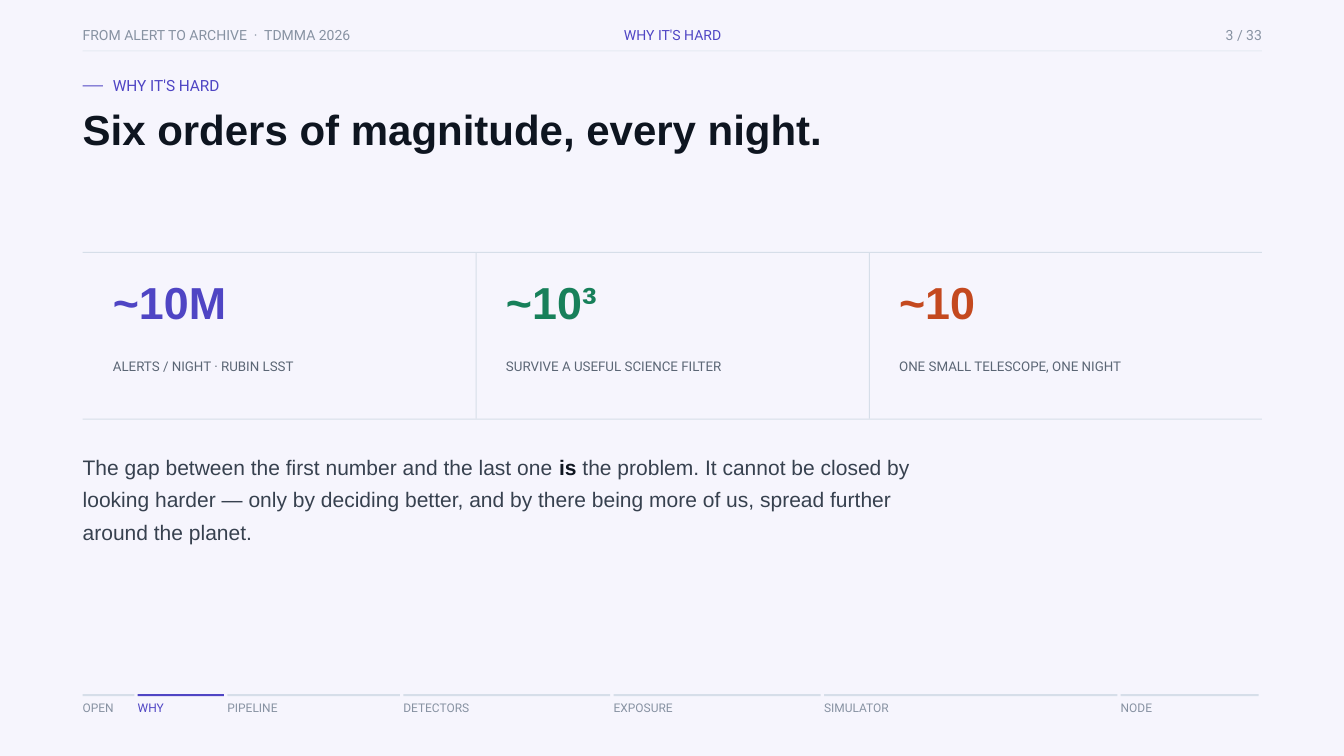
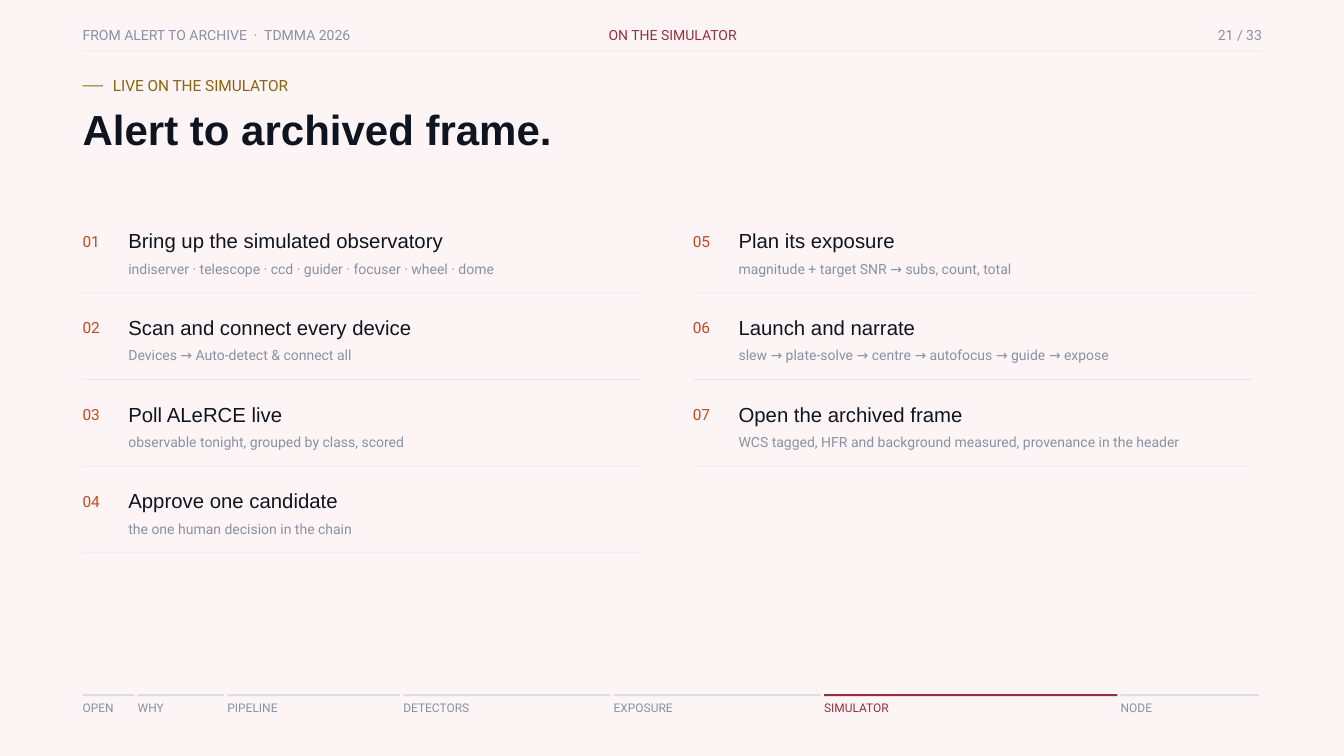
from dataclasses import dataclass

from pptx import Presentation
from pptx.dml.color import RGBColor
from pptx.enum.shapes import MSO_SHAPE
from pptx.enum.text import MSO_AUTO_SIZE, PP_ALIGN
from pptx.presentation import Presentation as Deck
from pptx.slide import Slide
from pptx.text.text import _Paragraph as Paragraph, _Run as Run
from pptx.util import Inches, Pt


@dataclass(frozen=True)
class TextStyle:
    size: float
    line_spacing: float
    font: str = "Roboto"
    bold: bool = False


@dataclass(frozen=True)
class Theme:
    # Colours
    ink: str = "0E1520"
    body_ink: str = "37414F"
    label_ink: str = "5B6675"
    muted: str = "8792A2"
    rule: str = "D6DEE9"
    light_rule: str = "E6EBF3"
    indigo: str = "4F45C4"
    green: str = "17805A"
    orange: str = "C4491F"
    crimson: str = "94303F"
    ochre: str = "8A650F"
    indigo_tint: str = "F6F5FD"
    crimson_tint: str = "FDF4F5"
    # Type
    header: TextStyle = TextStyle(15, 23.1)
    progress: TextStyle = TextStyle(12.8, 19.6)
    eyebrow: TextStyle = TextStyle(16.5, 25.4)
    title: TextStyle = TextStyle(45, 55.1, "Arial", True)
    figure: TextStyle = TextStyle(48, 57.6, "Arial", True)
    figure_label: TextStyle = TextStyle(14.3, 21.9)
    body: TextStyle = TextStyle(22.5, 34.6, "Arial")
    step: TextStyle = TextStyle(21.8, 33.4, "Arial")


@dataclass(frozen=True)
class Box:
    left: float
    top: float
    width: float
    height: float


@dataclass(frozen=True)
class Page:
    number: int
    section: str
    progress_label: str
    eyebrow: str
    title: str
    background: str
    accent: str
    eyebrow_color: str


@dataclass(frozen=True)
class Chapter:
    label: str
    weight: int


@dataclass(frozen=True)
class Statistic:
    figure: str
    label: str
    color: str


@dataclass(frozen=True)
class Step:
    name: str
    detail: str


THEME = Theme()
PAGE_COUNT = 33
MARGIN = 1.23
CONTENT_WIDTH = 17.55
HAIRLINE = 0.015
INDENT = 0.45

CHAPTERS = [
    Chapter("OPEN", 3),
    Chapter("WHY", 5),
    Chapter("PIPELINE", 10),
    Chapter("DETECTORS", 12),
    Chapter("EXPOSURE", 12),
    Chapter("SIMULATOR", 17),
    Chapter("NODE", 8),
]

STATISTICS = [
    Statistic("~10M", "ALERTS / NIGHT · RUBIN LSST", THEME.indigo),
    Statistic("~10³", "SURVIVE A USEFUL SCIENCE FILTER", THEME.green),
    Statistic("~10", "ONE SMALL TELESCOPE, ONE NIGHT", THEME.orange),
]

STEPS = [
    Step("Bring up the simulated observatory",
         "indiserver · telescope · ccd · guider · focuser · wheel · dome"),
    Step("Scan and connect every device", "Devices → Auto-detect & connect all"),
    Step("Poll ALeRCE live", "observable tonight, grouped by class, scored"),
    Step("Approve one candidate", "the one human decision in the chain"),
    Step("Plan its exposure", "magnitude + target SNR → subs, count, total"),
    Step("Launch and narrate",
         "slew → plate-solve → centre → autofocus → guide → expose"),
    Step("Open the archived frame",
         "WCS tagged, HFR and background measured, provenance in the header"),
]

MAGNITUDE_PAGE = Page(
    3, "WHY IT'S HARD", "WHY", "WHY IT'S HARD",
    "Six orders of magnitude, every night.",
    THEME.indigo_tint, THEME.indigo, THEME.indigo)
SIMULATOR_PAGE = Page(
    21, "ON THE SIMULATOR", "SIMULATOR", "LIVE ON THE SIMULATOR",
    "Alert to archived frame.",
    THEME.crimson_tint, THEME.crimson, THEME.ochre)


# Drawing helpers
def format_run(run: Run, style: TextStyle, color: str, bold: bool) -> None:
    run.font.name = style.font
    run.font.size = Pt(style.size)
    run.font.bold = bold
    run.font.color.rgb = RGBColor.from_string(color)


def draw_text(slide: Slide, box: Box, text: str, style: TextStyle, color: str,
              alignment: PP_ALIGN = PP_ALIGN.LEFT) -> Paragraph:
    shape = slide.shapes.add_textbox(
        Inches(box.left), Inches(box.top), Inches(box.width), Inches(box.height))
    frame = shape.text_frame
    frame.margin_left = frame.margin_right = 0
    frame.margin_top = frame.margin_bottom = 0
    frame.word_wrap = True
    frame.auto_size = MSO_AUTO_SIZE.SHAPE_TO_FIT_TEXT
    frame.text = text
    paragraph = frame.paragraphs[0]
    paragraph.alignment = alignment
    paragraph.line_spacing = Pt(style.line_spacing)
    for run in paragraph.runs:
        format_run(run, style, color, style.bold)
    return paragraph


def draw_bar(slide: Slide, box: Box, color: str) -> None:
    shape = slide.shapes.add_shape(
        MSO_SHAPE.RECTANGLE,
        Inches(box.left), Inches(box.top), Inches(box.width), Inches(box.height))
    shape.shadow.inherit = False
    shape.fill.solid()
    shape.fill.fore_color.rgb = RGBColor.from_string(color)
    shape.line.fill.background()


# Parts shared by every slide
def draw_header(slide: Slide, page: Page) -> None:
    draw_text(slide, Box(MARGIN, 0.32, 6.3, 0.43),
              "FROM ALERT TO ARCHIVE  ·  TDMMA 2026", THEME.header, THEME.muted)
    draw_text(slide, Box(7.54, 0.32, 4.94, 0.43), page.section,
              THEME.header, page.accent, PP_ALIGN.CENTER)
    draw_text(slide, Box(15.78, 0.32, 3, 0.43), f"{page.number} / {PAGE_COUNT}",
              THEME.header, THEME.muted, PP_ALIGN.RIGHT)
    draw_bar(slide, Box(MARGIN, 0.75, CONTENT_WIDTH, HAIRLINE), THEME.light_rule)


def draw_progress(slide: Slide, page: Page) -> None:
    gap = 0.05
    total_weight = sum(chapter.weight for chapter in CHAPTERS)
    unit = (17.5 - gap * (len(CHAPTERS) - 1)) / total_weight
    left = MARGIN
    for chapter in CHAPTERS:
        width = chapter.weight * unit
        current = chapter.label == page.progress_label
        draw_bar(slide, Box(left, 10.33, width, 0.03),
                 page.accent if current else THEME.rule)
        draw_text(slide, Box(left, 10.36, width, 0.36), chapter.label,
                  THEME.progress, page.accent if current else THEME.muted)
        left += width + gap


def draw_title(slide: Slide, page: Page) -> None:
    draw_bar(slide, Box(MARGIN, 1.27, 0.3, HAIRLINE), page.eyebrow_color)
    draw_text(slide, Box(MARGIN + INDENT, 1.06, 9, 0.46), page.eyebrow,
              THEME.eyebrow, page.eyebrow_color)
    draw_text(slide, Box(MARGIN, 1.53, 14.39, 0.79), page.title,
              THEME.title, THEME.ink)


def add_page(presentation: Deck, page: Page) -> Slide:
    slide = presentation.slides.add_slide(presentation.slide_layouts[6])
    slide.background.fill.solid()
    slide.background.fill.fore_color.rgb = RGBColor.from_string(page.background)
    draw_header(slide, page)
    draw_progress(slide, page)
    draw_title(slide, page)
    return slide


# Slide content
def draw_statistics(slide: Slide) -> None:
    top, height = 3.75, 2.48
    column_width = CONTENT_WIDTH / len(STATISTICS)
    for rule_top in (top, top + height):
        draw_bar(slide, Box(MARGIN, rule_top, CONTENT_WIDTH, HAIRLINE), THEME.rule)
    for index, statistic in enumerate(STATISTICS):
        left = MARGIN + index * column_width
        if index:
            draw_bar(slide, Box(left, top, HAIRLINE, height), THEME.rule)
        draw_text(slide, Box(left + INDENT, 4.09, 5.1, 0.94), statistic.figure,
                  THEME.figure, statistic.color)
        draw_text(slide, Box(left + INDENT, 5.27, 5.1, 0.66), statistic.label,
                  THEME.figure_label, THEME.label_ink)


def draw_conclusion(slide: Slide) -> None:
    paragraph = draw_text(
        slide, Box(MARGIN, 6.66, 12.61, 1.59),
        "The gap between the first number and the last one ",
        THEME.body, THEME.body_ink)
    emphasis = paragraph.add_run()
    emphasis.text = "is"
    format_run(emphasis, THEME.body, THEME.ink, True)
    ending = paragraph.add_run()
    ending.text = (" the problem. It cannot be closed by looking harder — only by "
                   "deciding better, and by there being more of us, spread further "
                   "around the planet.")
    format_run(ending, THEME.body, THEME.body_ink, False)


def draw_steps(slide: Slide) -> None:
    rows, row_pitch, column_pitch = 4, 1.29, 9.08
    text_indent, text_width = 0.68, 7.65
    for index, step in enumerate(STEPS):
        column, row = divmod(index, rows)
        left = MARGIN + column * column_pitch
        top = 3.3 + row * row_pitch
        draw_text(slide, Box(left, top + 0.07, 0.6, 0.53), f"{index + 1:02d}",
                  THEME.eyebrow, THEME.orange)
        draw_text(slide, Box(left + text_indent, top, text_width, 0.63),
                  step.name, THEME.step, THEME.ink)
        draw_text(slide, Box(left + text_indent, top + 0.5, text_width, 0.52),
                  step.detail, THEME.header, THEME.muted)
        draw_bar(slide, Box(left, top + 1.05, text_indent + text_width, HAIRLINE),
                 THEME.light_rule)


def main() -> None:
    presentation = Presentation()
    presentation.slide_width = Inches(20)
    presentation.slide_height = Inches(11.25)

    magnitude_slide = add_page(presentation, MAGNITUDE_PAGE)
    draw_statistics(magnitude_slide)
    draw_conclusion(magnitude_slide)

    simulator_slide = add_page(presentation, SIMULATOR_PAGE)
    draw_steps(simulator_slide)

    presentation.save("out.pptx")


if __name__ == "__main__":
    main()
